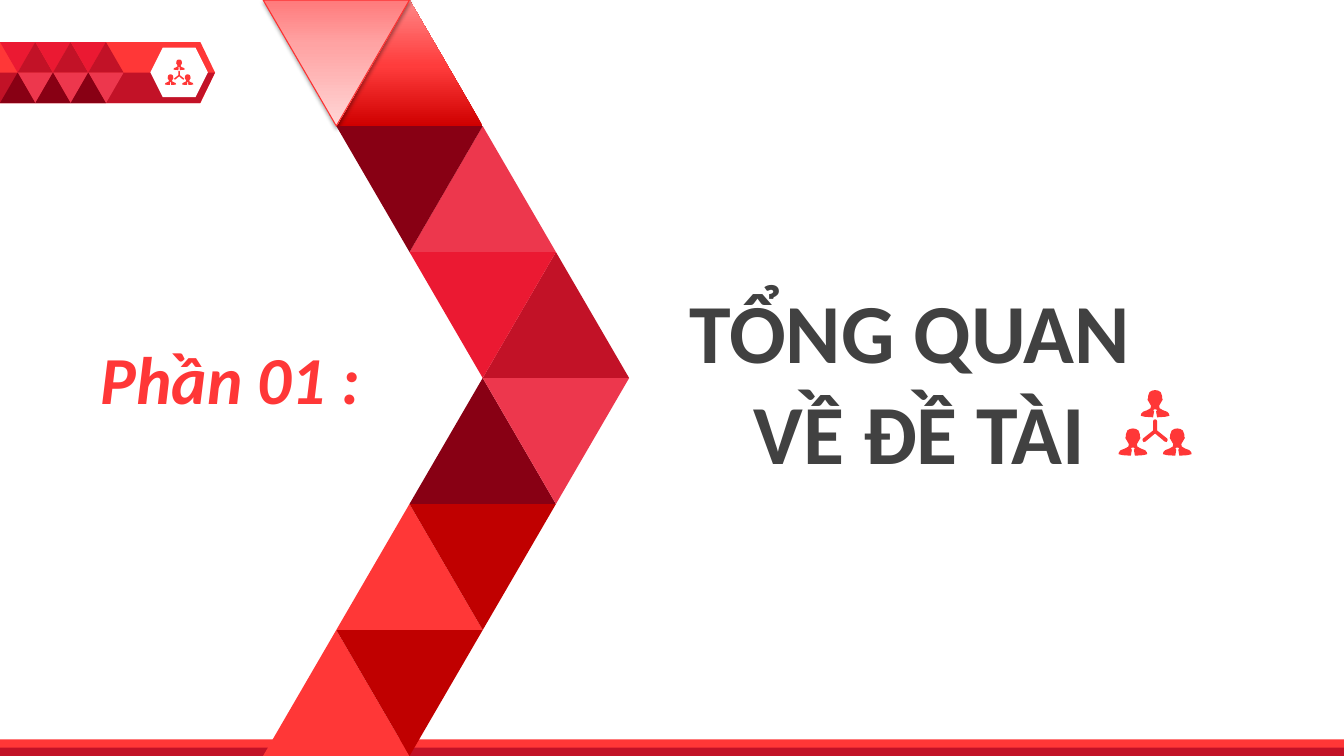
"""Build a section title slide with a red chevron of triangles."""
from copy import deepcopy
from dataclasses import dataclass

from lxml.etree import SubElement as Sub
from pptx import Presentation
from pptx.dml.color import RGBColor as Rgb
from pptx.enum.shapes import MSO_SHAPE as Kind
from pptx.enum.text import MSO_AUTO_SIZE as Fit, PP_ALIGN as Align
from pptx.oxml.ns import qn
from pptx.util import Cm, Pt


@dataclass(frozen=True)
class Theme:
    """Hold colours, font and type sizes."""
    red: str = "FF3737"
    deep: str = "C21227"
    dark: str = "880014"
    rose: str = "ED374D"
    vivid: str = "EB1932"
    blood: str = "C00000"
    white: str = "FFFFFF"
    ink: str = "414141"
    edge: str = "FD3030"
    shade: str = "000000"
    glow: tuple = ((0, "CF0000"), (0.48, "FF3C3C"), (1, "FF8787"))
    pale: tuple = ((0, "FF7A7B"), (0.35, "FFA3A3"), (1, "FFD6D6"))
    font: str = "Calibri"
    label: int = 48
    title: int = 60


def paint(shape, color):
    """Give a shape a solid or gradient fill, without line or shadow."""
    shape.shadow.inherit = False
    shape.line.fill.background()
    if isinstance(color, str):
        shape.fill.solid()
        shape.fill.fore_color.rgb = Rgb.from_string(color)
        return shape
    shape.fill.gradient()
    shape.fill.gradient_angle = 90
    stops = shape.element.spPr.find(".//" + qn("a:gsLst"))
    stops.append(deepcopy(stops[0]))
    for stop, (pos, tone) in zip(shape.fill.gradient_stops, color):
        stop.position = pos
        stop.color.rgb = Rgb.from_string(tone)
    return shape


def place(kind, left, top, width, height, color, turn=0):
    """Add a preset shape, measured in centimetres."""
    shape = shapes.add_shape(kind, Cm(left), Cm(top), Cm(width), Cm(height))
    shape.rotation = turn
    return paint(shape, color)


theme = Theme()
deck = Presentation()
deck.slide_width, deck.slide_height = Cm(33.87), Cm(19.05)
slide = deck.slides.add_slide(deck.slide_layouts[6])
shapes = slide.shapes

badge = place(Kind.PENTAGON, 0, 1.06, 5.42, 1.54, theme.red)
badge.adjustments[0] = 0.24
base = shapes.build_freeform(0, 0, scale=Cm(0.01))
base.add_line_segments([(542, 0), (504, 77), (0, 77)])
paint(base.convert_to_shape(0, Cm(1.83)), theme.deep)
place(Kind.HEXAGON, 3.79, 1.2, 1.45, 1.25, theme.white)

tile, band = 0.89, 0.77
for col in range(3):
    for shift, row, color, turn in (
        (0, 0, theme.vivid, 180),
        (0.5, 0, theme.deep, 0),
        (0.5, 1, theme.rose, 180),
        (0, 1, theme.dark, 0),
    ):
        place(Kind.ISOSCELES_TRIANGLE, (col + shift) * tile,
              1.06 + row * band, tile, band, color, turn)

place(Kind.RECTANGLE, 0, 18.63, 33.87, 0.42, theme.red)
place(Kind.RECTANGLE, 0, 18.84, 33.87, 0.21, theme.deep)

side, rise = 3.69, 19.05 / 6
rows = (
    (theme.glow, theme.pale),
    (theme.rose, theme.dark),
    (theme.deep, theme.vivid),
    (theme.dark, theme.rose),
    (theme.red, theme.blood),
    (theme.red, theme.blood),
)
for row, pair in enumerate(rows):
    step = min(row, 5 - row)
    cols = (step + 1, step) if row < 3 else (step, step + 1)
    for col, color, turn in zip(cols, pair, (0, 180)):
        tri = place(Kind.ISOSCELES_TRIANGLE, 6.63 + col * side / 2,
                    row * rise, side, rise, color, turn)
        if color is theme.pale:
            tri.line.color.rgb = Rgb.from_string(theme.edge)
            tri.line.width = Pt(0.75)
            cast = Sub(tri.element.spPr.find(qn("a:effectLst")),
                       qn("a:outerShdw"), blurRad=str(Pt(3.1)),
                       dist=str(Pt(1.6)), dir="5400000", rotWithShape="0")
            tone = Sub(cast, qn("a:srgbClr"), val=theme.shade)
            Sub(tone, qn("a:alpha"), val="37000")

texts = (
    ((2.29, 8.38, 10.46, 2.29), ["Phần 01 :"], Align.LEFT,
     dict(size=Pt(theme.label), italic=True), theme.red),
    ((16.31, 6.93, 13.72, 5.38), ["TỔNG QUAN ", "VỀ ĐỀ TÀI"], Align.CENTER,
     dict(size=Pt(theme.title)), theme.ink),
)
for area, lines, align, style, color in texts:
    frame = shapes.add_textbox(*map(Cm, area)).text_frame
    frame.word_wrap = True
    frame.auto_size = Fit.SHAPE_TO_FIT_TEXT
    frame.text = "\n".join(lines)
    for para in frame.paragraphs:
        para.alignment = align
        font = para.runs[0].font
        for key, value in dict(name=theme.font, bold=True, **style).items():
            setattr(font, key, value)
        font.color.rgb = Rgb.from_string(color)

man = [(0, 0), (30, 5), (55, 20), (70, 60), (70, 80), (75, 95), (60, 120),
       (40, 155), (45, 180), (80, 200), (120, 215), (138, 235), (142, 255),
       (100, 265), (20, 270), (10, 210), (20, 200), (10, 190)]
fork = [(0, 0), (15, 5), (20, 20), (20, 110), (120, 190), (125, 205),
        (115, 225), (95, 220), (0, 140)]
pieces = ((man, 350, 0), (man, 130, 380), (man, 570, 380), (fork, 350, 290))
for left, top, width in ((4.17, 1.5, 0.69), (28.22, 9.83, 1.78)):
    icon = shapes.build_freeform(350, 0, scale=Cm(width) / 700)
    for half, mid, drop in pieces:
        ring = half + [(-x, y) for x, y in reversed(half)]
        spots = [(mid + x, drop + y) for x, y in ring]
        icon.move_to(*spots[0])
        icon.add_line_segments(spots[1:])
    paint(icon.convert_to_shape(Cm(left), Cm(top)), theme.red)

deck.save("out.pptx")
